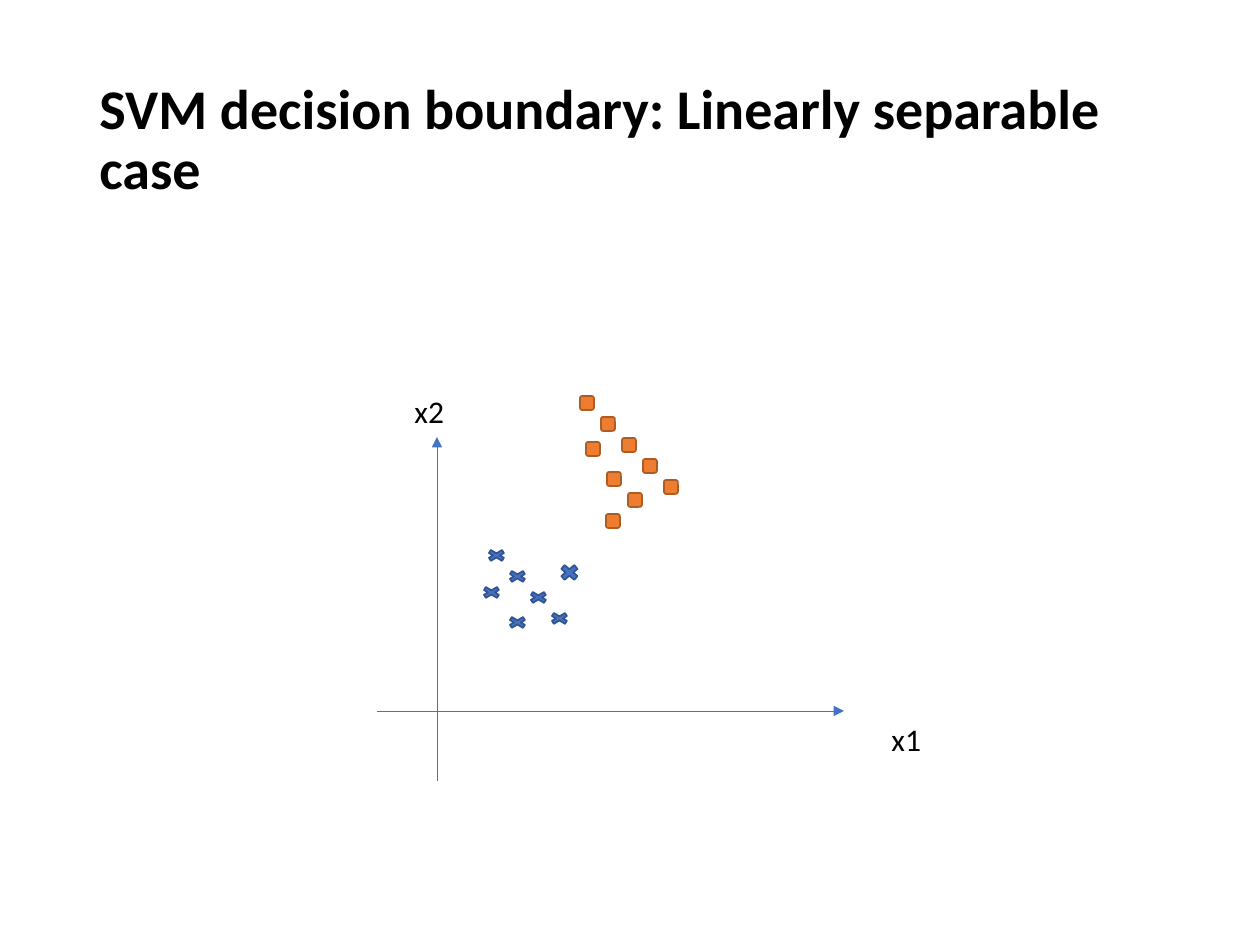
from pptx import Presentation
from pptx.dml.color import RGBColor
from pptx.enum.shapes import MSO_CONNECTOR as CONN, MSO_SHAPE as SHAPE
from pptx.enum.text import MSO_ANCHOR as ANCHOR, MSO_AUTO_SIZE as AUTO
from pptx.oxml.ns import qn
from pptx.util import Emu, Pt
from lxml.etree import SubElement

PX_PER_INCH = 126
BLACK = RGBColor(0x00, 0x00, 0x00)
BLUE = RGBColor(0x44, 0x72, 0xC4)
DARK_BLUE = RGBColor(0x32, 0x54, 0x91)
ORANGE = RGBColor(0xED, 0x7D, 0x31)
DARK_ORANGE = RGBColor(0xAF, 0x5C, 0x24)


def px(*lengths):
    return [Emu(round(n * 914400 / PX_PER_INCH)) for n in lengths]


class Deck:
    font = "Calibri"

    def __init__(self, width, height):
        self.prs = Presentation()
        self.prs.slide_width, self.prs.slide_height = px(width, height)
        self.slide = self.prs.slides.add_slide(self.prs.slide_layouts[6])

    def text(self, box, words, size, bold=False, wrap=False, spacing=1.0):
        tf = self.slide.shapes.add_textbox(*px(*box)).text_frame
        tf.word_wrap = wrap
        tf.auto_size = AUTO.NONE if wrap else AUTO.SHAPE_TO_FIT_TEXT
        tf.vertical_anchor = ANCHOR.MIDDLE if wrap else ANCHOR.TOP
        p = tf.paragraphs[0]
        p.line_spacing = spacing
        r = p.add_run()
        r.text = words
        r.font.name, r.font.size, r.font.bold = self.font, Pt(size), bold
        r.font.color.rgb = BLACK

    def arrow(self, x1, y1, x2, y2):
        line = self.slide.shapes.add_connector(CONN.STRAIGHT, *px(x1, y1, x2, y2))
        line.line.color.rgb = BLUE
        line.line.width = Pt(0.5)
        SubElement(line.line._get_or_add_ln(), qn("a:tailEnd"), type="triangle")
        SubElement(line._element.spPr, qn("a:effectLst"))

    def marker(self, kind, x, y, w, h, fill, outline):
        sp = self.slide.shapes.add_shape(kind, *px(x, y, w, h))
        sp.shadow.inherit = False
        sp.fill.solid()
        sp.fill.fore_color.rgb = fill
        sp.line.color.rgb = outline
        sp.line.width = Pt(1)

    def cross(self, x, y, h=15):
        self.marker(SHAPE.MATH_MULTIPLY, x, y, 25, h, BLUE, DARK_BLUE)

    def square(self, x, y):
        self.marker(SHAPE.ROUNDED_RECTANGLE, x, y, 14, 14, ORANGE, DARK_ORANGE)


def diagonal(x, y, count, step=21):
    return [(x + i * step, y + i * step) for i in range(count)]


def main():
    deck = Deck(1260, 945)
    deck.text((87, 50, 1086, 183), "SVM decision boundary: Linearly separable case",
              32, bold=True, wrap=True, spacing=0.9)
    deck.arrow(377, 711, 844, 711)
    deck.arrow(437, 781, 437, 437)
    for name, x, y in (("x1", 879, 714), ("x2", 402, 386)):
        deck.text((x, y, 55, 50), name, 18)

    for x, y in diagonal(484, 548, 4) + [(479, 585), (505, 615)]:
        deck.cross(x, y)
    deck.cross(557, 562, h=21)

    for x, y in diagonal(580, 396, 5) + [(586, 442)] + diagonal(607, 472, 2) + [(606, 514)]:
        deck.square(x, y)

    deck.prs.save("out.pptx")


if __name__ == "__main__":
    main()
